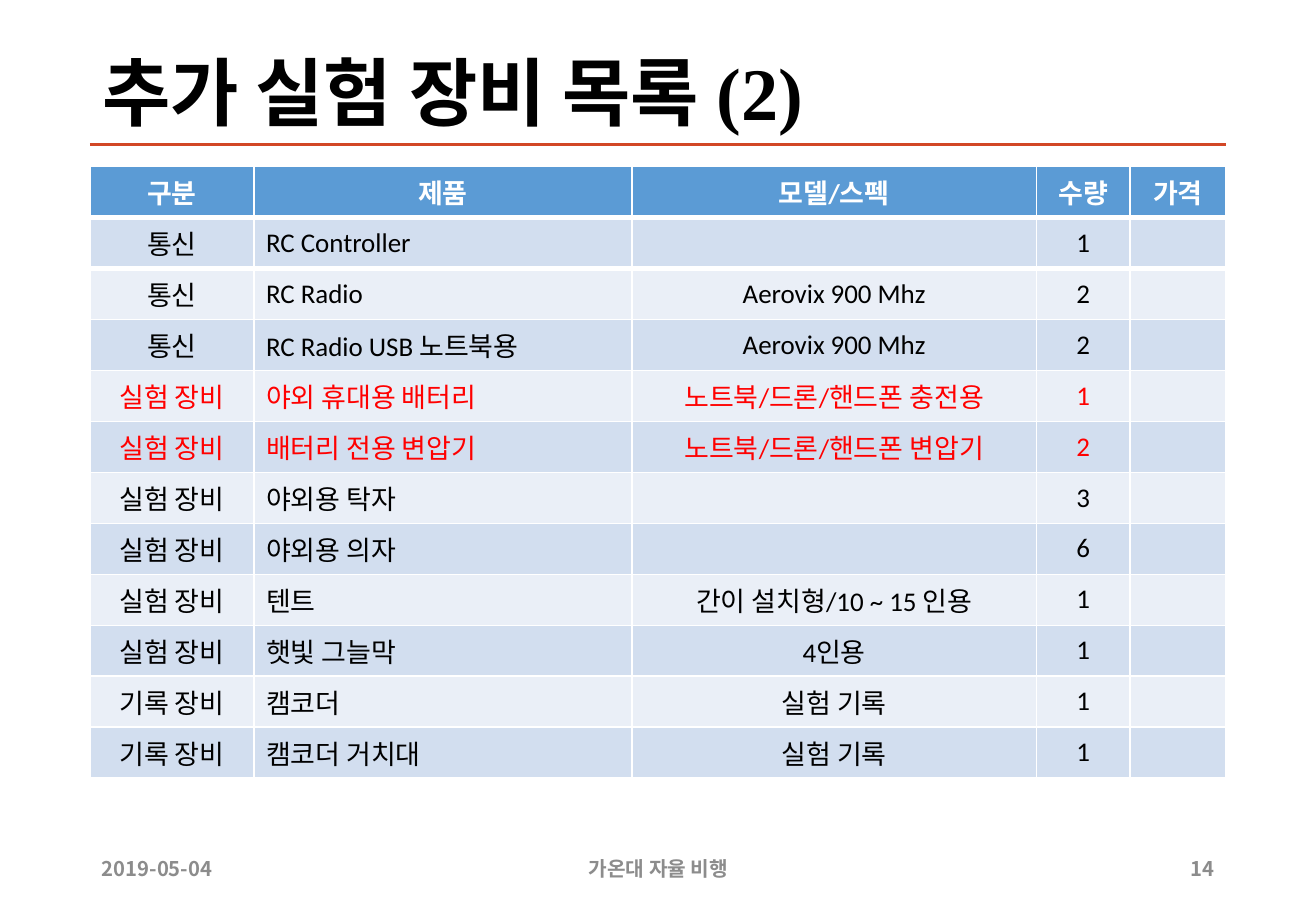
from lxml import etree
from pptx import Presentation
from pptx.dml.color import RGBColor
from pptx.enum import shapes, text
from pptx.oxml import ns
from pptx.util import Inches, Pt

COLORS = {
    "rule": "D24726", "title": "000000", "footer": "8C8C8C",
    "header": "5B9BD5", "header_text": "FFFFFF", "border": "FFFFFF",
    "band_dark": "D2DEEF", "band_light": "EAEFF7",
    "body": "000000", "urgent": "FF0000",
}
HANGUL_FONT = "Noto Sans CJK KR"
LEFT, CENTER, RIGHT = text.PP_ALIGN.LEFT, text.PP_ALIGN.CENTER, text.PP_ALIGN.RIGHT

HEADER = ("구분", "제품", "모델/스펙", "수량", "가격")
ITEMS = (
    ("통신", "RC Controller", "", "1", ""),
    ("통신", "RC Radio", "Aerovix 900 Mhz", "2", ""),
    ("통신", "RC Radio USB 노트북용", "Aerovix 900 Mhz", "2", ""),
    ("실험 장비", "야외 휴대용 배터리", "노트북/드론/핸드폰 충전용", "1", ""),
    ("실험 장비", "배터리 전용 변압기", "노트북/드론/핸드폰 변압기", "2", ""),
    ("실험 장비", "야외용 탁자", "", "3", ""),
    ("실험 장비", "야외용 의자", "", "6", ""),
    ("실험 장비", "텐트", "간이 설치형/10 ~ 15 인용", "1", ""),
    ("실험 장비", "햇빛 그늘막", "4인용", "1", ""),
    ("기록 장비", "캠코더", "실험 기록", "1", ""),
    ("기록 장비", "캠코더 거치대", "실험 기록", "1", ""),
)
URGENT_ROWS = (4, 5)
COLUMN_WIDTHS = (1.35, 3.11, 3.33, 0.77, 0.79)
ROW_HEIGHT = 0.42

FOOTERS = (
    ("2019-05-04", 0.74, 1.27, LEFT),
    ("가온대 자율 비행", 3.59, 3.66, CENTER),
    ("14", 9.56, 0.53, RIGHT),
)


def color(name):
    return RGBColor.from_string(COLORS[name])


def write(para, words, size, font, ink, bold=False, align=LEFT):
    """Add one run, with its Latin and Hangul fonts, to an aligned paragraph."""
    para.alignment = align
    span = para.add_run()
    span.text = words
    span.font.size = Pt(size)
    span.font.bold = bold
    span.font.color.rgb = color(ink)
    span.font.name = font
    hangul = etree.SubElement(span.font._element, ns.qn("a:ea"))
    hangul.set("typeface", HANGUL_FONT)


def add_title(page, words):
    title = page.shapes.title
    title.left, title.top = Inches(0.74), Inches(0.4)
    title.width, title.height = Inches(9.34), Inches(0.79)
    title.text_frame.vertical_anchor = text.MSO_ANCHOR.MIDDLE
    para = title.text_frame.paragraphs[0]
    para.line_spacing = 0.9
    write(para, words, 44, "Times New Roman", "title", bold=True)


def add_rule(page):
    rule = page.shapes.add_connector(
        shapes.MSO_CONNECTOR.STRAIGHT,
        Inches(0.74), Inches(1.19), Inches(10.09), Inches(1.19))
    rule.line.color.rgb = color("rule")
    rule.line.width = Pt(2)
    etree.SubElement(rule._element.spPr, ns.qn("a:effectLst"))


def add_footer(page, words, left, width, align):
    box = page.shapes.add_textbox(Inches(left), Inches(6.95), Inches(width), Inches(0.4))
    box.text_frame.word_wrap = True
    box.text_frame.vertical_anchor = text.MSO_ANCHOR.MIDDLE
    write(box.text_frame.paragraphs[0], words, 12, HANGUL_FONT, "footer", True, align)


def set_border(cell, side, points):
    """Draw one cell edge; side is a tag such as a:lnB."""
    edge = etree.Element(ns.qn(side), w=str(Pt(points)))
    fill = etree.SubElement(edge, ns.qn("a:solidFill"))
    etree.SubElement(fill, ns.qn("a:srgbClr"), val=COLORS["border"])
    cell._tc.get_or_add_tcPr().insert(0, edge)


def row_style(row):
    """Give the fill and text colour names of a table row."""
    if row == 0:
        return "header", "header_text"
    fill = "band_dark" if row % 2 else "band_light"
    return fill, "urgent" if row in URGENT_ROWS else "body"


def add_equipment_table(page):
    rows = (HEADER, *ITEMS)
    table = page.shapes.add_table(
        len(rows), len(HEADER), Inches(0.74), Inches(1.37),
        Inches(sum(COLUMN_WIDTHS)), Inches(ROW_HEIGHT * len(rows))).table
    for column, width in zip(table.columns, COLUMN_WIDTHS):
        column.width = Inches(width)
    for row, values in enumerate(rows):
        table.rows[row].height = Inches(ROW_HEIGHT)
        fill, ink = row_style(row)
        for column, words in enumerate(values):
            cell = table.cell(row, column)
            cell.fill.solid()
            cell.fill.fore_color.rgb = color(fill)
            cell.vertical_anchor = text.MSO_ANCHOR.MIDDLE
            if row < 2:
                set_border(cell, "a:lnT" if row else "a:lnB", 3)
            if words:
                align = LEFT if row and column == 1 else CENTER
                write(cell.text_frame.paragraphs[0], words, 16, "Calibri", ink,
                      bold=row == 0, align=align)


def main():
    deck = Presentation()
    deck.slide_width, deck.slide_height = Inches(10.83), Inches(7.5)
    page = deck.slides.add_slide(deck.slide_layouts.get_by_name("Title Only"))
    add_rule(page)
    add_title(page, "추가 실험 장비 목록 (2)")
    for footer in FOOTERS:
        add_footer(page, *footer)
    add_equipment_table(page)
    deck.save("out.pptx")


if __name__ == "__main__":
    main()
